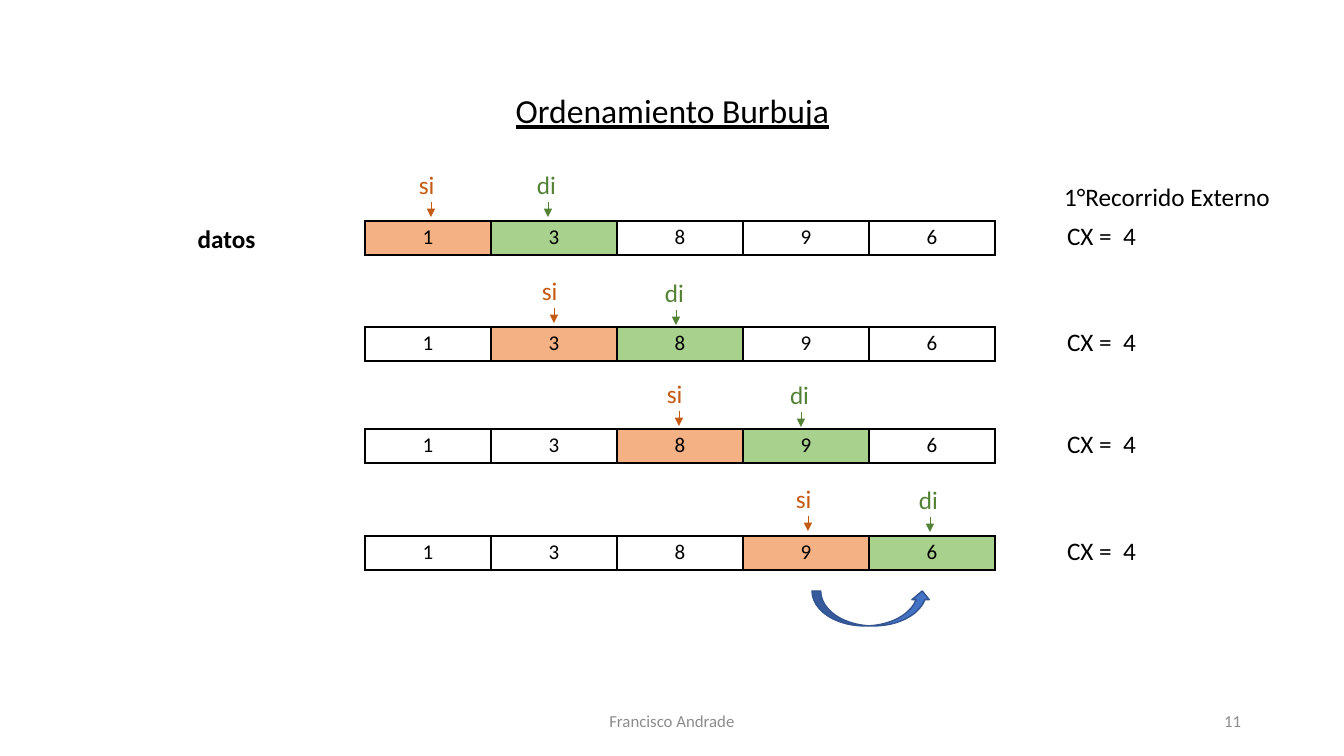
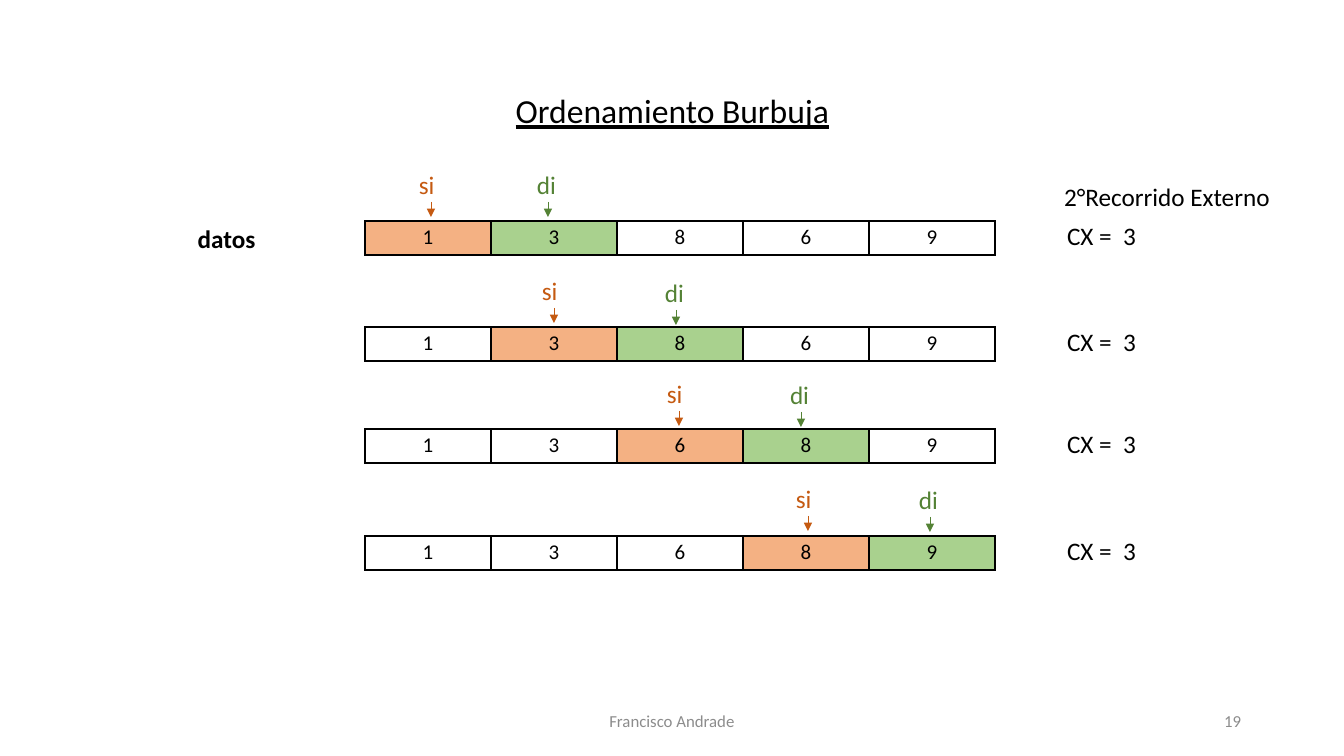
import pptx
import pptx.dml.color
import pptx.enum.shapes
import pptx.enum.text
import pptx.oxml
import pptx.oxml.ns
import pptx.util

PIXEL = 914400 / 100.8
FONT = "Calibri"
BLACK, GREY = "000000", "8C8C8C"
SOURCE_TEXT, SOURCE_FILL = "C55A11", "F4B183"
TARGET_TEXT, TARGET_FILL = "548235", "A9D18E"
ARROW_FILL, ARROW_LINE = "4472C4", "325491"

ALIGN = pptx.enum.text.PP_ALIGN
ANCHOR = pptx.enum.text.MSO_ANCHOR
DRAWING_NS = pptx.oxml.ns.nsdecls("a")

CELL_WIDTH, CELL_HEIGHT = 126, 34
ARRAY_LEFT = 365
LABEL_WIDTH, LABEL_HEIGHT = 131, 40
ARROW_OFFSET_X, ARROW_OFFSET_Y, ARROW_LENGTH = 67, 38, 15

ARRAY_TOPS = (221, 327, 429, 536)
SOURCE_LABELS = ((364, 164), (487, 270), (612, 373), (741, 478))
TARGET_LABELS = ((481, 164), (609, 272), (734, 374), (863, 479))

PASSES = (
    {
        "page": "11",
        "heading": "1°Recorrido Externo",
        "counter": "CX =  4",
        "arrays": ["13896"] * 4,
        "swaps": True,
    },
    {
        "page": "19",
        "heading": "2°Recorrido Externo",
        "counter": "CX =  3",
        "arrays": ["13869"] * 2 + ["13689"] * 2,
        "swaps": False,
    },
)


def px(pixels):
    return pptx.util.Emu(round(pixels * PIXEL))


def rgb(value):
    return pptx.dml.color.RGBColor.from_string(value)


def write(frame, text, size, color=BLACK, align=ALIGN.CENTER, **formats):
    frame.text = text
    paragraph = frame.paragraphs[0]
    paragraph.alignment = align
    font = paragraph.runs[0].font
    formats = {"name": FONT, "size": pptx.util.Pt(size), **formats}
    for key, value in formats.items():
        setattr(font, key, value)
    font.color.rgb = rgb(color)


def add_label(slide, box, text, size=18, color=BLACK, wrap=True,
              anchor=ANCHOR.TOP, **formats):
    frame = slide.shapes.add_textbox(*map(px, box)).text_frame
    frame.word_wrap = wrap
    frame.vertical_anchor = anchor
    write(frame, text, size, color, **formats)


def set_title(slide, text):
    title = slide.shapes.title
    bounds = zip(("left", "top", "width", "height"), (504, 85, 337, 50))
    for key, value in bounds:
        setattr(title, key, px(value))
    frame = title.text_frame
    frame.word_wrap = False
    frame.auto_size = pptx.enum.text.MSO_AUTO_SIZE.NONE
    frame.vertical_anchor = ANCHOR.TOP
    write(frame, text, 24, underline=True)


def add_borders(cell):
    properties = cell._tc.get_or_add_tcPr()
    for side in "LRTB":
        properties.append(pptx.oxml.parse_xml(
            f'<a:ln{side} {DRAWING_NS} w="12700"><a:solidFill>'
            f'<a:srgbClr val="{BLACK}"/></a:solidFill></a:ln{side}>'
        ))


def add_array(slide, top, values, fills):
    box = (ARRAY_LEFT, top, CELL_WIDTH * len(values), CELL_HEIGHT)
    table = slide.shapes.add_table(1, len(values), *map(px, box)).table
    table.first_row = table.horz_banding = False
    margins = {"margin_left": 8, "margin_right": 8,
               "margin_top": 4, "margin_bottom": 4}
    for index, value in enumerate(values):
        cell = table.cell(0, index)
        for key, margin in margins.items():
            setattr(cell, key, px(margin))
        add_borders(cell)
        if index in fills:
            cell.fill.solid()
            cell.fill.fore_color.rgb = rgb(fills[index])
        else:
            cell.fill.background()
        write(cell.text_frame, value, 15)


def add_pointer(slide, position, text, color):
    left, top = position
    add_label(slide, (left, top, LABEL_WIDTH, LABEL_HEIGHT), text, color=color)
    x, y = left + ARROW_OFFSET_X, top + ARROW_OFFSET_Y
    arrow = slide.shapes.add_connector(
        pptx.enum.shapes.MSO_CONNECTOR.STRAIGHT,
        *map(px, (x, y, x, y + ARROW_LENGTH)),
    )
    arrow.line.color.rgb = rgb(color)
    arrow.line.width = pptx.util.Pt(0.5)
    arrow.line._get_or_add_ln().append(
        pptx.oxml.parse_xml(f'<a:tailEnd {DRAWING_NS} type="triangle"/>'))
    arrow._element.spPr.append(
        pptx.oxml.parse_xml(f"<a:effectLst {DRAWING_NS}/>"))


def add_swap_arrow(slide):
    swap = slide.shapes.add_shape(
        pptx.enum.shapes.MSO_SHAPE.CURVED_UP_ARROW,
        *map(px, (812, 591, 119, 35)),
    )
    swap.shadow.inherit = False
    swap.fill.solid()
    swap.fill.fore_color.rgb = rgb(ARROW_FILL)
    swap.line.color.rgb = rgb(ARROW_LINE)
    swap.line.width = pptx.util.Pt(1)


def add_footer(slide, page):
    style = {"size": 12, "color": GREY, "anchor": ANCHOR.MIDDLE}
    add_label(slide, (445, 701, 454, 40), "Francisco Andrade", **style)
    add_label(slide, (949, 701, 302, 40), page, align=ALIGN.RIGHT, **style)


def add_pass(deck, outer):
    slide = deck.slides.add_slide(deck.slide_layouts[5])
    set_title(slide, "Ordenamiento Burbuja")
    add_label(slide, (176, 218, 101, 40), "datos", bold=True)
    add_label(slide, (1050, 176, 234, 40), outer["heading"])
    steps = zip(ARRAY_TOPS, outer["arrays"], SOURCE_LABELS, TARGET_LABELS)
    for step, (top, values, source, target) in enumerate(steps):
        add_array(slide, top, values,
                  {step: SOURCE_FILL, step + 1: TARGET_FILL})
        add_label(slide, (1056, top - 6, 91, 40), outer["counter"], wrap=False)
        add_pointer(slide, source, "si ", SOURCE_TEXT)
        add_pointer(slide, target, "di", TARGET_TEXT)
    if outer["swaps"]:
        add_swap_arrow(slide)
    add_footer(slide, outer["page"])


def main():
    deck = pptx.Presentation()
    deck.slide_width, deck.slide_height = px(1344), px(756)
    for outer in PASSES:
        add_pass(deck, outer)
    deck.save("out.pptx")


main()
